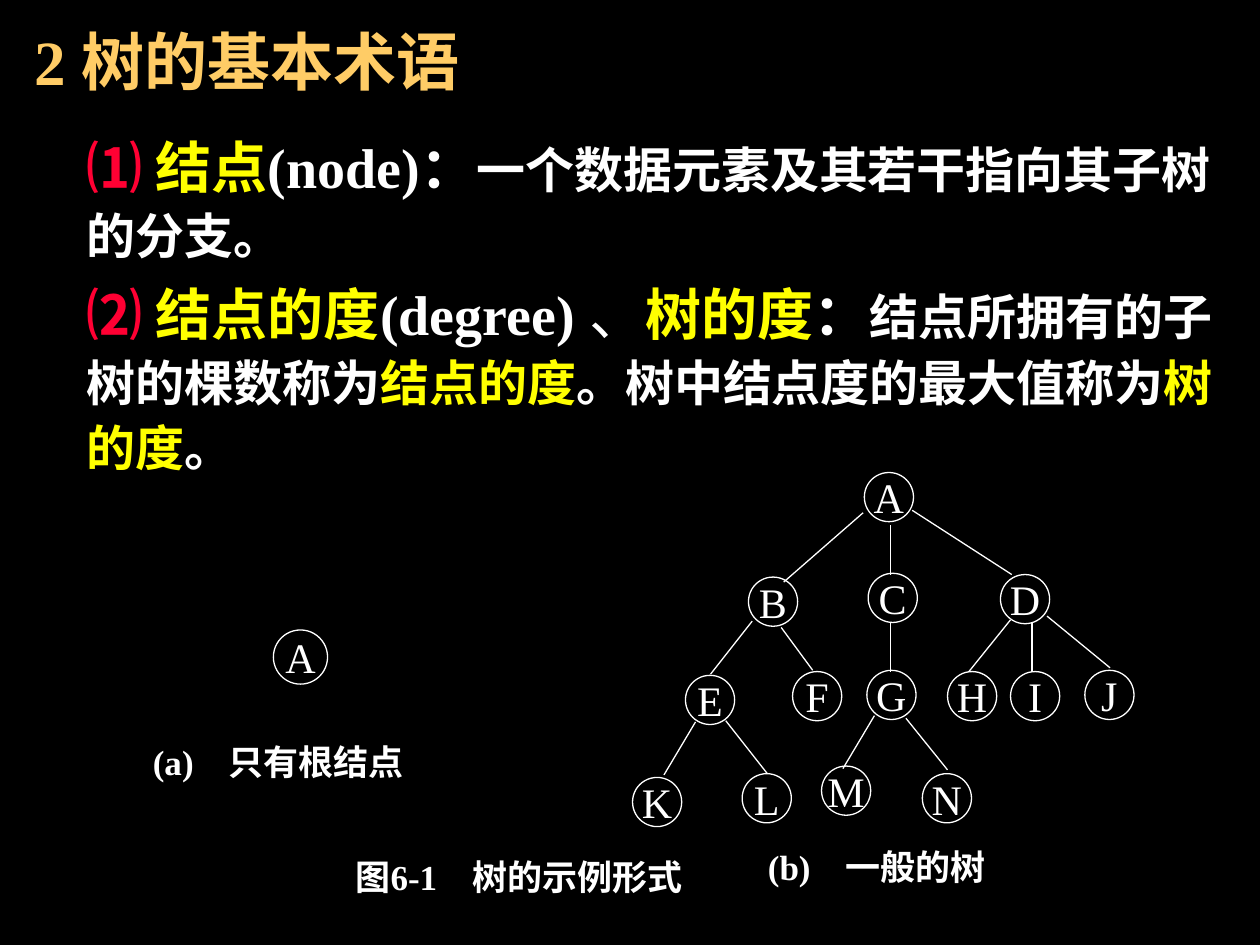
from lxml import etree
from pptx import Presentation
from pptx import util as u
from pptx.dml.color import RGBColor
from pptx.enum import shapes, text
from pptx.oxml import ns

SERIF, SANS, CJK = "Times New Roman", "Arial", "Noto Sans CJK SC"
WHITE, YELLOW, RED, GOLD, BLACK = "FFFFFF", "FFFF00", "FF0033", "FFCC66", "000000"

TITLE = [("2 ", 36, SERIF, GOLD, True), ("树的基本术语", 36, CJK, GOLD, True)]
TERMS = [
    [
        ("⑴", 32, CJK, RED, True),
        (" 结点", 32, CJK, YELLOW, True),
        ("(node)", 32, SERIF, WHITE, True),
        ("：", 32, CJK, WHITE, True),
        ("一个数据元素及其若干指向其子树的分支。", 28, CJK, WHITE, True),
    ],
    [
        ("⑵", 32, CJK, RED, True),
        (" 结点的度", 32, CJK, YELLOW, True),
        ("(degree) ", 32, SERIF, WHITE, True),
        ("、", 32, CJK, WHITE, False),
        ("树的度", 32, CJK, YELLOW, True),
        ("：", 32, CJK, WHITE, True),
        ("结点所拥有的子树的棵数称为", 28, CJK, WHITE, True),
        ("结点的度", 28, CJK, YELLOW, True),
        ("。树中结点度的最大值称为", 28, CJK, WHITE, True),
        ("树的度", 28, CJK, YELLOW, True),
        ("。", 28, CJK, WHITE, True),
    ],
]
CAPTIONS = [
    ((2.58, 6.75, 3.08, 0.42), [("图", SANS), ("6-1　", SERIF), ("树的示", SANS), ("例形式", SERIF)]),
    ((1, 5.83, 2.42, 0.42), [("(a)　只有根结点", SERIF)]),
    ((5.75, 6.67, 2.42, 0.42), [("(b)　", SERIF), ("一般的树", SANS)]),
]
ROOT_ONLY, ROOT_SIZE, NODE_SIZE = (2.17, 5), 0.43, 0.39
TREE = {
    "A": (6.86, 3.75),
    "B": (5.94, 4.58), "C": (6.89, 4.55), "D": (7.94, 4.56),
    "E": (5.44, 5.36), "F": (6.29, 5.33), "G": (6.88, 5.32),
    "H": (7.52, 5.33), "I": (8.02, 5.33), "J": (8.61, 5.32),
    "K": (5.02, 6.17), "L": (5.89, 6.14), "M": (6.52, 6.08), "N": (7.32, 6.14),
}
EDGES = {
    "AB": (6.85, 4.07, 6.22, 4.62), "AC": (7.07, 4.17, 7.07, 4.56),
    "AD": (7.24, 4.05, 8.03, 4.56), "BE": (5.97, 4.93, 5.64, 5.35),
    "BF": (6.2, 4.98, 6.45, 5.32), "CG": (7.07, 4.94, 7.07, 5.33),
    "DH": (8.02, 4.92, 7.69, 5.33), "DI": (8.19, 4.94, 8.19, 5.33),
    "DJ": (8.31, 4.89, 8.81, 5.3), "EK": (5.52, 5.73, 5.27, 6.15),
    "EL": (5.76, 5.72, 6.09, 6.14), "GM": (6.94, 5.68, 6.69, 6.1),
    "GN": (7.19, 5.7, 7.52, 6.11),
}
TOP = dict(word_wrap=True, auto_size=text.MSO_AUTO_SIZE.NONE, vertical_anchor=text.MSO_ANCHOR.TOP)
MIDDLE = dict(TOP, vertical_anchor=text.MSO_ANCHOR.MIDDLE)
LABEL = dict(MIDDLE, word_wrap=False)
CENTER = dict(alignment=text.PP_ALIGN.CENTER)
LEFT = dict(alignment=text.PP_ALIGN.LEFT, space_before=u.Pt(0))


def rgb(value):
    return RGBColor.from_string(value)


def apply(target, values):
    for name, value in values.items():
        setattr(target, name, value)


def place(sp, box):
    apply(sp, dict(zip(("left", "top", "width", "height"), map(u.Inches, box))))


def add_runs(p, runs, values):
    apply(p, values)
    for words, size, font, color, bold in runs:
        r = p.add_run()
        r.text = words
        apply(r.font, dict(size=u.Pt(size), name=font, bold=bold))
        r.font.color.rgb = rgb(color)
        ea = etree.SubElement(r.font._element, ns.qn("a:ea"))
        ea.set("typeface", CJK)


def add_title(s):
    sp = s.shapes.title
    place(sp, (0.17, 0.13, 9.67, 0.85))
    apply(sp.text_frame, TOP)
    add_runs(sp.text_frame.paragraphs[0], TITLE, LEFT)


def add_terms(s):
    sp = s.placeholders[1]
    place(sp, (0.17, 1.02, 9.67, 2.81))
    tf = sp.text_frame
    apply(tf, TOP)
    for i, runs in enumerate(TERMS):
        p = tf.add_paragraph() if i else tf.paragraphs[0]
        pPr = p._p.get_or_add_pPr()
        pPr.set("marL", str(u.Inches(0.42)))
        pPr.set("indent", "0")
        etree.SubElement(pPr, ns.qn("a:buNone"))
        add_runs(p, runs, dict(LEFT, level=1, line_spacing=u.Pt(37), space_before=u.Pt(10 * i)))


def add_node(s, name, left, top, size):
    sp = s.shapes.add_shape(shapes.MSO_SHAPE.OVAL, *map(u.Inches, (left, top, size, size)))
    sp.shadow.inherit = False
    sp.fill.background()
    sp.line.color.rgb = rgb(WHITE)
    sp.line.width = u.Pt(0.75)
    apply(sp.text_frame, LABEL)
    add_runs(sp.text_frame.paragraphs[0], [(name, 24, SERIF, WHITE, False)], CENTER)


def add_edge(s, ends):
    line = s.shapes.add_connector(shapes.MSO_CONNECTOR.STRAIGHT, *map(u.Inches, ends))
    line.line.color.rgb = rgb(WHITE)
    line.line.width = u.Pt(0.75)
    etree.SubElement(line._element.spPr, ns.qn("a:effectLst"))


def add_caption(s, box, parts):
    sp = s.shapes.add_textbox(*map(u.Inches, box))
    apply(sp.text_frame, MIDDLE)
    runs = [(words, 20, font, WHITE, True) for words, font in parts]
    add_runs(sp.text_frame.paragraphs[0], runs, CENTER)


def main():
    """Build the slide on basic tree terms with its two example trees."""
    prs = Presentation()
    prs.slide_width, prs.slide_height = u.Inches(10), u.Inches(7.5)
    s = prs.slides.add_slide(prs.slide_layouts[1])
    s.background.fill.solid()
    s.background.fill.fore_color.rgb = rgb(BLACK)
    add_title(s)
    add_terms(s)
    add_node(s, "A", *ROOT_ONLY, ROOT_SIZE)
    for name, corner in TREE.items():
        add_node(s, name, *corner, NODE_SIZE)
    for ends in EDGES.values():
        add_edge(s, ends)
    for box, parts in CAPTIONS:
        add_caption(s, box, parts)
    prs.save("out.pptx")


if __name__ == "__main__":
    main()
